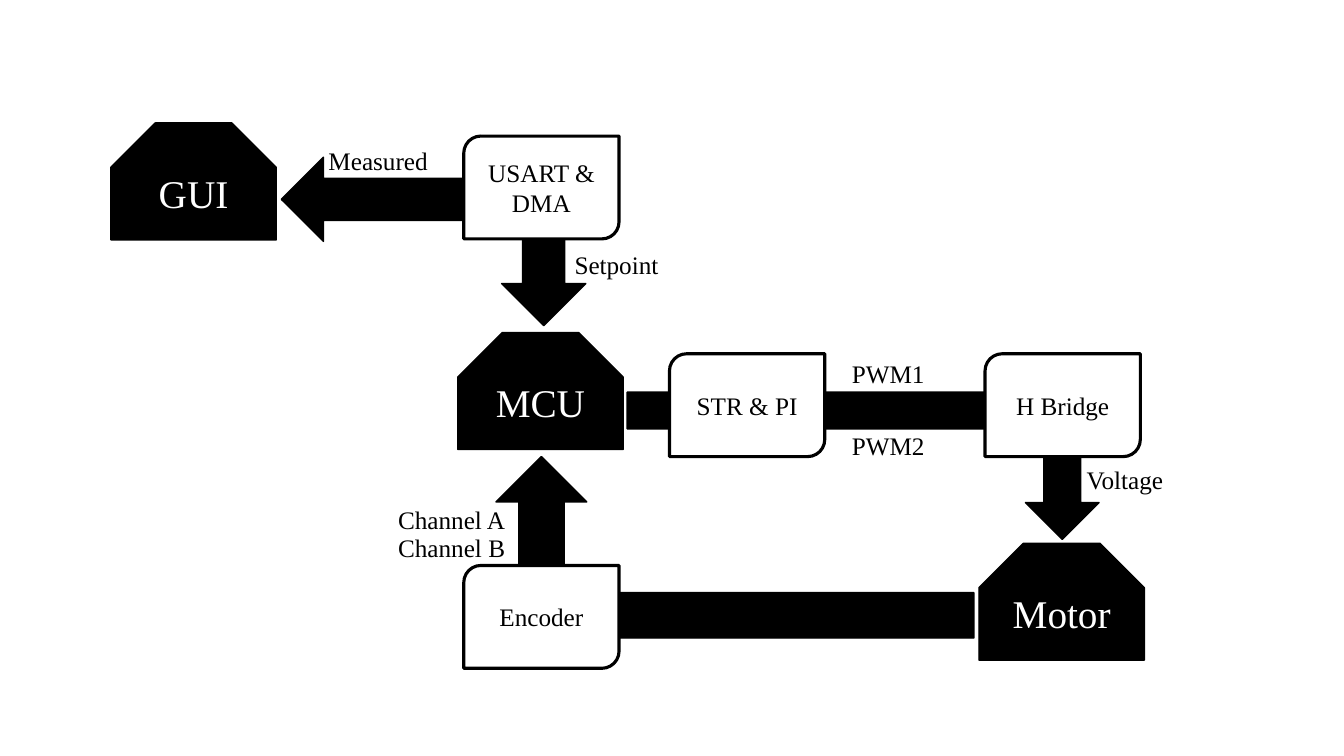
from dataclasses import dataclass

from pptx import Presentation
from pptx import util as u
from pptx.dml import color
from pptx.enum import shapes, text


@dataclass(frozen=True)
class Theme:
    font: str = "Times New Roman"
    dark: str = "000000"
    light: str = "FFFFFF"
    unit_size: int = 28
    label_size: int = 18
    thin: float = 1
    thick: float = 2.25


def write(tf, content, *, size, ink, font, align=text.PP_ALIGN.LEFT):
    p = tf.paragraphs[0]
    p.alignment = align
    r = p.add_run()
    r.text = content
    r.font.name = font
    r.font.size = u.Pt(size)
    r.font.color.rgb = color.RGBColor.from_string(ink)


class Diagram:
    def __init__(self, slide, theme):
        self.s = slide
        self.theme = theme

    def shape(self, kind, left, top, width, height, fill, line_width):
        sp = self.s.shapes.add_shape(kind, *map(u.Inches, (left, top, width, height)))
        sp.shadow.inherit = False
        sp.fill.solid()
        sp.fill.fore_color.rgb = color.RGBColor.from_string(fill)
        sp.line.color.rgb = color.RGBColor.from_string(self.theme.dark)
        sp.line.width = u.Pt(line_width)
        return sp

    def arrow(self, kind, left, top, width, height, rotation=0):
        t = self.theme
        sp = self.shape(kind, left, top, width, height, t.dark, t.thin)
        sp.rotation = rotation
        sp._element.spPr.xfrm.set("flipH", "1")

    def caption(self, sp, content, size, ink):
        tf = sp.text_frame
        tf.word_wrap = True
        tf.vertical_anchor = text.MSO_ANCHOR.MIDDLE
        write(tf, content, size=size, ink=ink, font=self.theme.font,
              align=text.PP_ALIGN.CENTER)

    def unit(self, content, left, top):
        t = self.theme
        sp = self.shape(shapes.MSO_SHAPE.SNIP_2_SAME_RECTANGLE,
                        left, top, 1.64, 1.16, t.dark, t.thin)
        sp.adjustments[0] = 0.38
        sp.adjustments[1] = 0
        self.caption(sp, content, t.unit_size, t.light)

    def stage(self, content, left, top):
        t = self.theme
        sp = self.shape(shapes.MSO_SHAPE.ROUND_2_DIAG_RECTANGLE,
                        left, top, 1.54, 1.02, t.light, t.thick)
        self.caption(sp, content, t.label_size, t.dark)

    def label(self, content, left, top, width):
        t = self.theme
        sp = self.s.shapes.add_textbox(*map(u.Inches, (left, top, width, 0.4)))
        tf = sp.text_frame
        tf.word_wrap = False
        tf.auto_size = text.MSO_AUTO_SIZE.SHAPE_TO_FIT_TEXT
        write(tf, content, size=t.label_size, ink=t.dark, font=t.font)


prs = Presentation()
prs.slide_width = u.Inches(13.33)
prs.slide_height = u.Inches(7.5)
d = Diagram(prs.slides.add_slide(prs.slide_layouts[6]), Theme())

# Signal arrows, behind the blocks
d.arrow(shapes.MSO_SHAPE.LEFT_UP_ARROW, 2.79, 1.56, 3.02, 1.67, rotation=180)
d.arrow(shapes.MSO_SHAPE.BENT_UP_ARROW, 4.92, 4.53, 4.74, 1.8)
d.arrow(shapes.MSO_SHAPE.BENT_UP_ARROW, 6.22, 3.89, 4.68, 1.46, rotation=180)

# Main units
for name, left, top in (("GUI", 1.1, 1.22), ("MCU", 4.54, 3.3), ("Motor", 9.71, 5.39)):
    d.unit(name, left, top)

# Processing stages, aligned on shared columns and rows
mcu_column, control_row = 4.6, 3.51
for name, left, top in (
    ("USART & DMA", mcu_column, 1.35),
    ("STR & PI", 6.64, control_row),
    ("H Bridge", 9.77, control_row),
    ("Encoder", mcu_column, 5.61),
):
    d.stage(name, left, top)

# Signal names
for name, left, top, width in (
    ("Measured", 3.16, 1.39, 1.2),
    ("Setpoint", 5.6, 2.42, 1.04),
    ("PWM1", 8.35, 3.51, 0.93),
    ("PWM2", 8.35, 4.22, 0.93),
    ("Voltage", 10.68, 4.56, 0.97),
    ("Channel A", 3.85, 4.95, 1.27),
    ("Channel B", 3.85, 5.23, 1.27),
):
    d.label(name, left, top, width)

prs.save("out.pptx")
